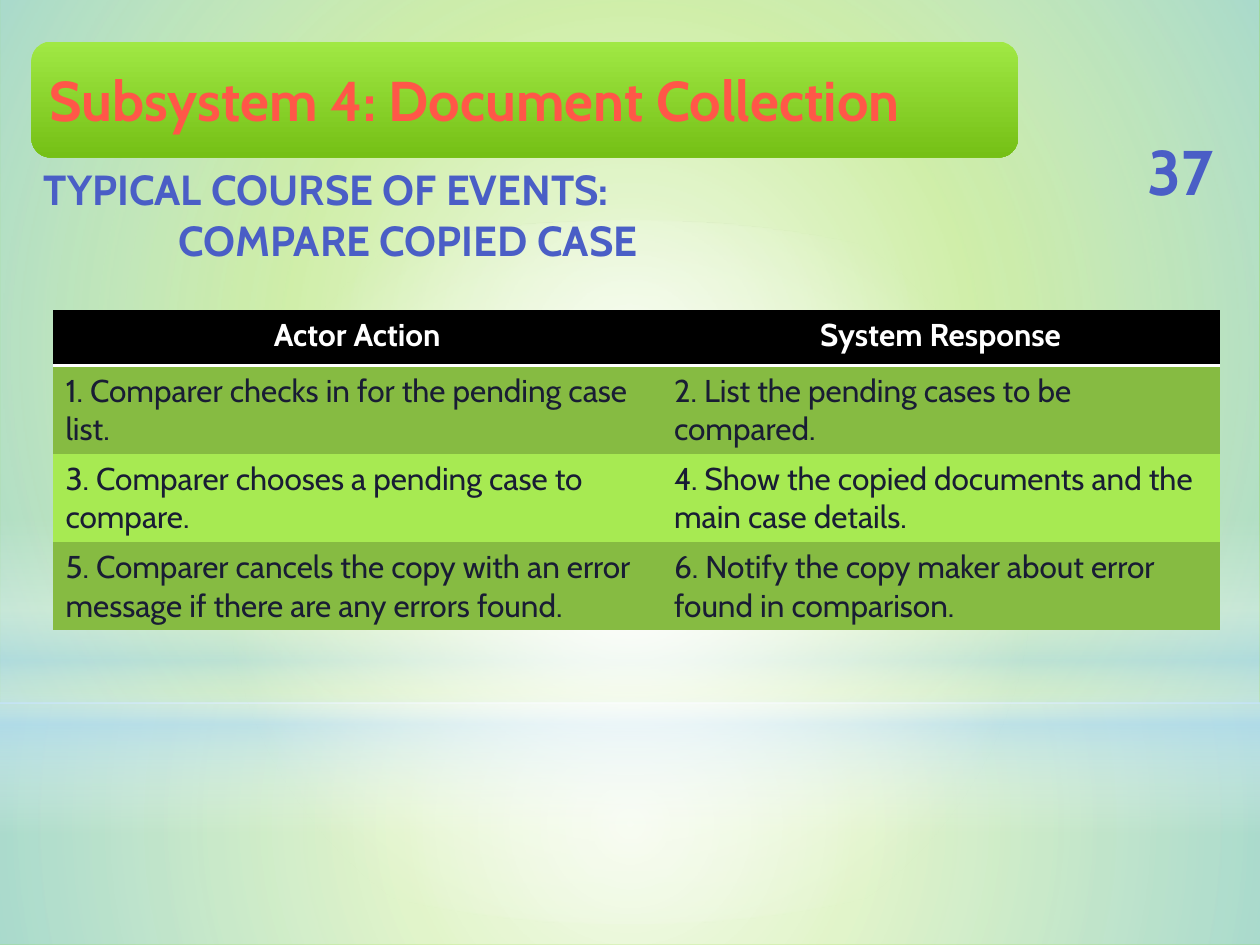
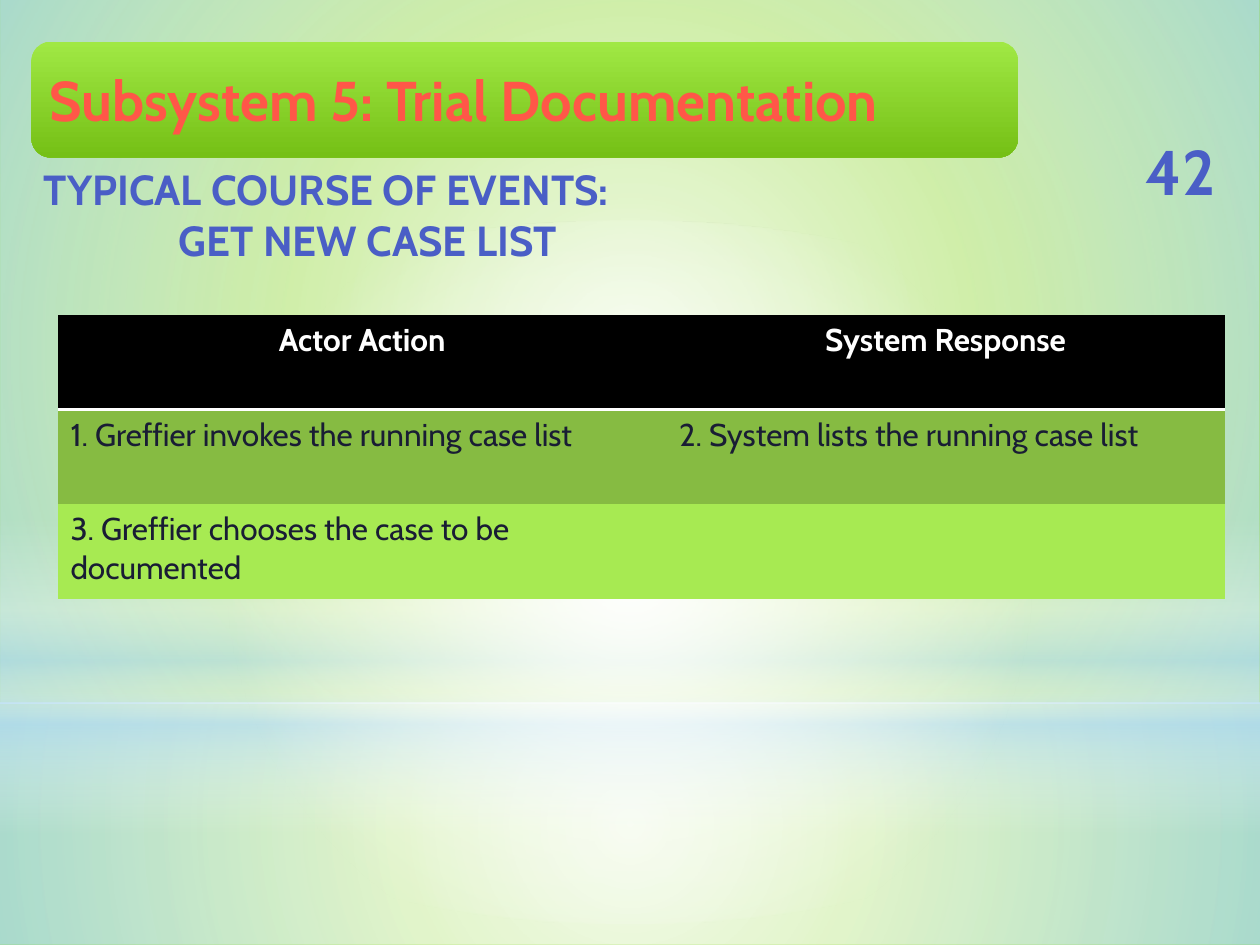
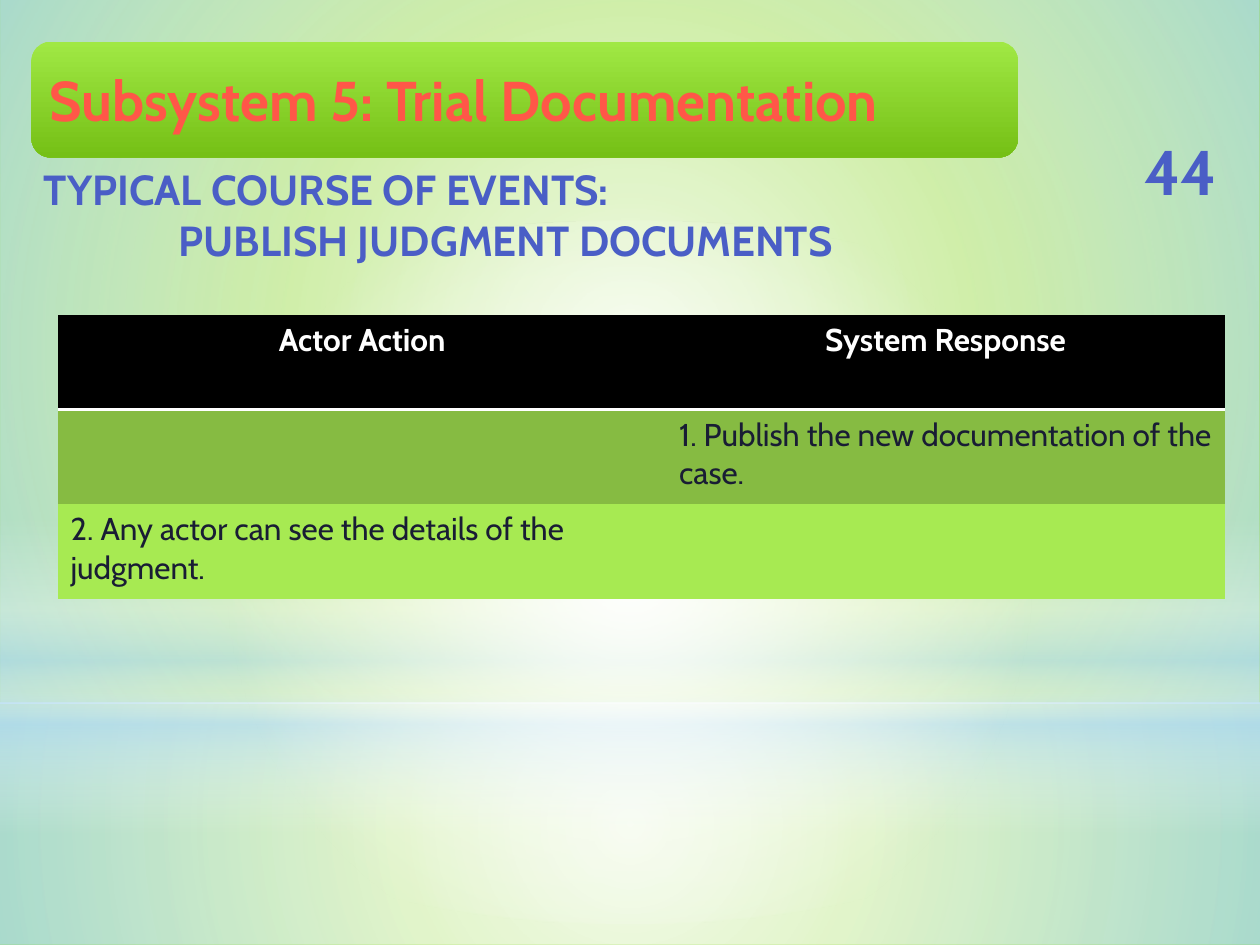
from dataclasses import dataclass

from pptx import Presentation
from pptx.dml.color import RGBColor
from pptx.enum.shapes import MSO_SHAPE as Preset
from pptx.enum.text import MSO_ANCHOR as Anchor, MSO_AUTO_SIZE as AutoSize, PP_ALIGN as Align
from pptx.oxml import parse_xml
from pptx.oxml.ns import nsdecls, qn
from pptx.util import Inches, Pt

FONT = "Cabin"
GREEN = RGBColor(0x81, 0xD3, 0x1A)
BANNER_TOP = RGBColor(0xA0, 0xE8, 0x44)
BANNER_BOTTOM = RGBColor(0x75, 0xC0, 0x16)
SKY = RGBColor(0xB4, 0xDC, 0xFA)
WHITE = RGBColor(0xFF, 0xFF, 0xFF)
BLACK = RGBColor(0, 0, 0)
CORAL = RGBColor(0xFF, 0x57, 0x48)
BLUE = RGBColor(0x4A, 0x5E, 0xC6)
INK = RGBColor(0x19, 0x1D, 0x34)
ROW_FILLS = (RGBColor(0x86, 0xBB, 0x42), RGBColor(0xA7, 0xEA, 0x52))

BANNER_BOX = (0.25, 0.33, 7.83, 0.92)
COLUMN_WIDTHS = (4.83, 4.43)
HEADINGS = ("Actor Action", "System Response")
PLAIN_TABLE_STYLE = "{2D5ABB26-0587-4C30-8999-92F81FD0307C}"

Box = tuple[float, float, float, float]


@dataclass(frozen=True)
class Stop:
    position: int
    color: RGBColor
    opacity: int = 100


@dataclass(frozen=True)
class Panel:
    preset: Preset
    box: Box
    stops: tuple[Stop, ...]
    radial: bool = True


@dataclass(frozen=True)
class UseCase:
    number: int
    subsystem: str
    name: str
    steps: tuple[tuple[str, str], ...]
    table_corner: tuple[float, float] = (0.46, 2.5)
    header_height: float = 0.75
    step_height: float = 0.75


PANELS = (
    Panel(Preset.RECTANGLE, (0, 5.58, 10, 1.92),
          (Stop(0, WHITE, 91), Stop(37, WHITE, 76), Stop(100, SKY, 79))),
    Panel(Preset.RECTANGLE, (0, 0, 10, 5.58),
          (Stop(0, WHITE, 89), Stop(48, WHITE, 62), Stop(100, SKY, 79))),
    Panel(Preset.RECTANGLE, (0, 4.12, 10, 2.5),
          (Stop(0, WHITE, 0), Stop(29, WHITE, 30), Stop(45, SKY, 40),
           Stop(55, WHITE, 26), Stop(65, SKY, 60), Stop(100, WHITE, 0)), radial=False),
    Panel(Preset.OVAL, (0, 1.75, 10, 5.58), (Stop(0, WHITE), Stop(56, WHITE, 0))),
    Panel(Preset.ROUNDED_RECTANGLE, BANNER_BOX,
          (Stop(0, BANNER_TOP), Stop(100, BANNER_BOTTOM)), radial=False),
)

USE_CASES = (
    UseCase(37, "Subsystem 4: Document Collection", "COMPARE COPIED CASE", (
        ("1. Comparer checks in for the pending case list.",
         "2. List the pending cases to be compared."),
        ("3. Comparer chooses a pending case to compare.",
         "4. Show the copied documents and the main case details."),
        ("5. Comparer cancels the copy with an error message if there are any errors found.",
         "6. Notify the copy maker about error found in comparison."),
    ), table_corner=(0.42, 2.46), header_height=0.44, step_height=0.7),
    UseCase(42, "Subsystem 5: Trial Documentation", "GET NEW CASE LIST", (
        ("1. Greffier invokes the running case list", "2. System lists the running case list"),
        ("3. Greffier chooses the case to be documented", ""),
    )),
    UseCase(44, "Subsystem 5: Trial Documentation", "PUBLISH JUDGMENT DOCUMENTS", (
        ("", "1. Publish the new documentation of the case."),
        ("2. Any actor can see the details of the judgment.", ""),
    )),
)


def inches(values) -> list:
    return [Inches(value) for value in values]


def style_text(text_frame, size: int, color: RGBColor, bold: bool = True,
               align: Align = Align.LEFT) -> None:
    for paragraph in text_frame.paragraphs:
        paragraph.alignment = align
        for run in paragraph.runs:
            run.font.name = FONT
            run.font.size = Pt(size)
            run.font.bold = bold
            run.font.color.rgb = color


def gradient_fill(panel: Panel):
    stops = "".join(
        f'<a:gs pos="{stop.position * 1000}"><a:srgbClr val="{stop.color}">'
        f'<a:alpha val="{stop.opacity * 1000}"/></a:srgbClr></a:gs>'
        for stop in panel.stops)
    if panel.radial:
        direction = ('<a:path path="circle"><a:fillToRect l="50000" t="50000" '
                     'r="50000" b="50000"/></a:path>')
    else:
        direction = '<a:lin ang="5400000" scaled="0"/>'
    return parse_xml(f'<a:gradFill {nsdecls("a")} rotWithShape="1">'
                     f'<a:gsLst>{stops}</a:gsLst>{direction}</a:gradFill>')


def draw_backdrop(slide, layout) -> None:
    """Draw the panels on a slide, then move them behind the layout's placeholders."""
    for order, panel in enumerate(PANELS):
        shape = slide.shapes.add_shape(panel.preset, *inches(panel.box))
        shape.shadow.inherit = False
        shape.line.fill.background()
        shape.fill.background()
        properties = shape.element.spPr
        properties.replace(properties.find(qn("a:noFill")), gradient_fill(panel))
        shape.element.nvSpPr.cNvPr.set("id", str(100 + order))
        layout.shapes.element.insert(2 + order, shape.element)


def fill_title(slide, subsystem: str) -> None:
    title = slide.shapes.title
    title.left, title.top, title.width, title.height = inches(BANNER_BOX)
    frame = title.text_frame
    frame.text = subsystem
    frame.auto_size = AutoSize.NONE
    frame.vertical_anchor = Anchor.MIDDLE
    frame.margin_left = frame.margin_right = Inches(0.14)
    style_text(frame, 32, CORAL)


def add_page_number(slide, number: int) -> None:
    frame = slide.shapes.add_textbox(*inches((8.88, 1.08, 0.98, 0.54))).text_frame
    frame.word_wrap = True
    frame.vertical_anchor = Anchor.MIDDLE
    frame.text = str(number)
    style_text(frame, 36, BLUE, align=Align.CENTER)


def add_subtitle(slide, name: str) -> None:
    frame = slide.shapes.add_textbox(*inches((0.25, 1.25, 9.92, 0.91))).text_frame
    frame.word_wrap = True
    frame.text = f"TYPICAL COURSE OF EVENTS:\n{name}"
    style_text(frame, 24, BLUE)
    frame.paragraphs[1]._p.get_or_add_pPr().set("marL", str(Inches(1.07)))


def underline_header(cell) -> None:
    border = parse_xml(f'<a:lnB {nsdecls("a")} w="{Pt(2)}"><a:solidFill>'
                       f'<a:srgbClr val="{WHITE}"/></a:solidFill></a:lnB>')
    cell._tc.get_or_add_tcPr().insert(0, border)


def add_events_table(slide, case: UseCase) -> None:
    rows = (HEADINGS, *case.steps)
    heights = [case.header_height] + [case.step_height] * len(case.steps)
    frame = slide.shapes.add_table(
        len(rows), len(HEADINGS),
        *inches((*case.table_corner, sum(COLUMN_WIDTHS), sum(heights))))
    table = frame.table
    table.horz_banding = False
    next(frame.element.iter(qn("a:tableStyleId"))).text = PLAIN_TABLE_STYLE
    for column, width in zip(table.columns, COLUMN_WIDTHS):
        column.width = Inches(width)
    for index, (row, texts, height) in enumerate(zip(table.rows, rows, heights)):
        row.height = Inches(height)
        for cell, text in zip(row.cells, texts):
            cell.text_frame.text = text
            cell.fill.solid()
            if index == 0:
                cell.fill.fore_color.rgb = BLACK
                style_text(cell.text_frame, 18, WHITE, align=Align.CENTER)
                underline_header(cell)
            else:
                cell.fill.fore_color.rgb = ROW_FILLS[(index - 1) % 2]
                style_text(cell.text_frame, 18, INK, bold=False)


def main() -> None:
    prs = Presentation()
    prs.slide_width, prs.slide_height = Inches(10), Inches(7.5)
    background = prs.slide_master.background.fill
    background.solid()
    background.fore_color.rgb = GREEN

    layout = prs.slide_layouts.get_by_name("Title Only")
    slides = [prs.slides.add_slide(layout) for _ in USE_CASES]
    draw_backdrop(slides[0], layout)
    for slide, case in zip(slides, USE_CASES):
        fill_title(slide, case.subsystem)
        add_page_number(slide, case.number)
        add_subtitle(slide, case.name)
        add_events_table(slide, case)
    prs.save("out.pptx")


if __name__ == "__main__":
    main()
